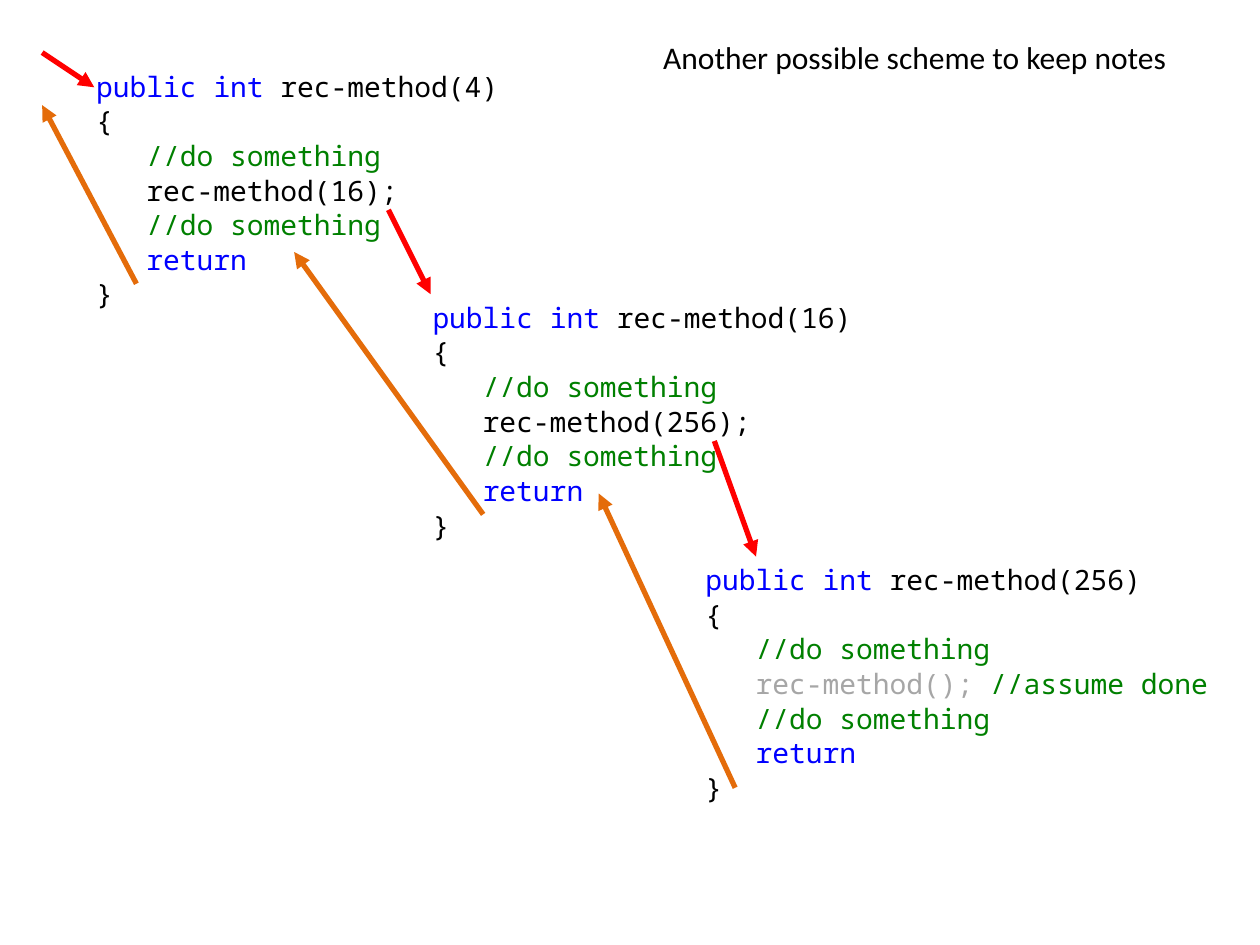
from dataclasses import dataclass

import pptx
import pptx.dml.color
import pptx.enum.shapes
import pptx.enum.text
import pptx.oxml.ns
import pptx.util
from lxml import etree
from pptx.dml.color import RGBColor
from pptx.util import Cm, Pt

BLACK = RGBColor(0x00, 0x00, 0x00)
KEYWORD_BLUE = RGBColor(0x00, 0x00, 0xFF)
COMMENT_GREEN = RGBColor(0x00, 0x80, 0x00)
SKIPPED_GRAY = RGBColor(0xA6, 0xA6, 0xA6)
CALL_RED = RGBColor(0xFF, 0x00, 0x00)
RETURN_ORANGE = RGBColor(0xE4, 0x6C, 0x0A)

INDENT = "   "
Token = tuple[str, RGBColor]


@dataclass(frozen=True)
class MethodBlock:
    left: float
    top: float
    argument: int
    call: tuple[Token, ...]


@dataclass(frozen=True)
class Arrow:
    start: tuple[float, float]
    end: tuple[float, float]
    color: RGBColor


# Lengths in centimetres
METHOD_BLOCKS = (
    MethodBlock(1.69, 1.27, 4, (("rec-method(16);", BLACK),)),
    MethodBlock(8.47, 5.93, 16, (("rec-method(256);", BLACK),)),
    MethodBlock(13.97, 11.22, 256,
                (("rec-method(); ", SKIPPED_GRAY), ("//assume done", COMMENT_GREEN))),
)
ARROWS = (
    Arrow((7.83, 4.23), (8.68, 5.93), CALL_RED),
    Arrow((14.4, 8.89), (15.24, 11.22), CALL_RED),
    Arrow((14.82, 15.88), (12.07, 9.95), RETURN_ORANGE),
    Arrow((9.74, 10.37), (5.93, 5.08), RETURN_ORANGE),
    Arrow((0.85, 1.06), (1.9, 1.76), CALL_RED),
    Arrow((2.75, 5.72), (0.85, 2.12), RETURN_ORANGE),
)


def code_lines(block: MethodBlock) -> list[tuple[Token, ...]]:
    """Return the colored tokens of each line of a method."""
    indent = (INDENT, BLACK)
    comment = (indent, ("//do something", COMMENT_GREEN))
    return [
        (("public", KEYWORD_BLUE), (" ", BLACK), ("int", KEYWORD_BLUE),
         (f" rec-method({block.argument})", BLACK)),
        (("{", BLACK),),
        comment,
        (indent, *block.call),
        comment,
        (indent, ("return", KEYWORD_BLUE)),
        (("}", BLACK),),
    ]


def style_run(run, font_name: str, size: int, color: RGBColor) -> None:
    run.font.name = font_name
    run.font.size = Pt(size)
    run.font.color.rgb = color


def draw_method(slide, block: MethodBlock) -> None:
    shape = slide.shapes.add_textbox(Cm(block.left), Cm(block.top), Cm(11.23), Cm(6.77))
    text_frame = shape.text_frame
    text_frame.word_wrap = True
    for index, tokens in enumerate(code_lines(block)):
        paragraph = text_frame.add_paragraph() if index else text_frame.paragraphs[0]
        if index:
            paragraph.space_before = Pt(0.6)
        for text, color in tokens:
            run = paragraph.add_run()
            run.text = text
            style_run(run, "Noto Sans Mono", 16, color)


def draw_arrow(slide, arrow: Arrow) -> None:
    connector = slide.shapes.add_connector(
        pptx.enum.shapes.MSO_CONNECTOR.STRAIGHT,
        *(Cm(value) for value in arrow.start + arrow.end))
    connector.line.color.rgb = arrow.color
    connector.line.width = Pt(3)
    # Arrowhead, and no shadow
    line = connector.line._get_or_add_ln()
    etree.SubElement(line, pptx.oxml.ns.qn("a:tailEnd"), type="triangle")
    etree.SubElement(connector._element.spPr, pptx.oxml.ns.qn("a:effectLst"))


def draw_title(slide) -> None:
    shape = slide.shapes.add_textbox(Cm(13.12), Cm(0.64), Cm(10.77), Cm(1.02))
    text_frame = shape.text_frame
    text_frame.word_wrap = False
    text_frame.auto_size = pptx.enum.text.MSO_AUTO_SIZE.SHAPE_TO_FIT_TEXT
    text_frame.text = "Another possible scheme to keep notes"
    style_run(text_frame.paragraphs[0].runs[0], "Calibri", 18, BLACK)


def main() -> None:
    presentation = pptx.Presentation()
    presentation.slide_width = Cm(25.4)
    presentation.slide_height = Cm(19.05)
    slide = presentation.slides.add_slide(presentation.slide_layouts[6])

    # Nested method calls
    for block in METHOD_BLOCKS:
        draw_method(slide, block)
    # Calls and returns
    for arrow in ARROWS:
        draw_arrow(slide, arrow)
    draw_title(slide)

    presentation.save("out.pptx")


if __name__ == "__main__":
    main()
